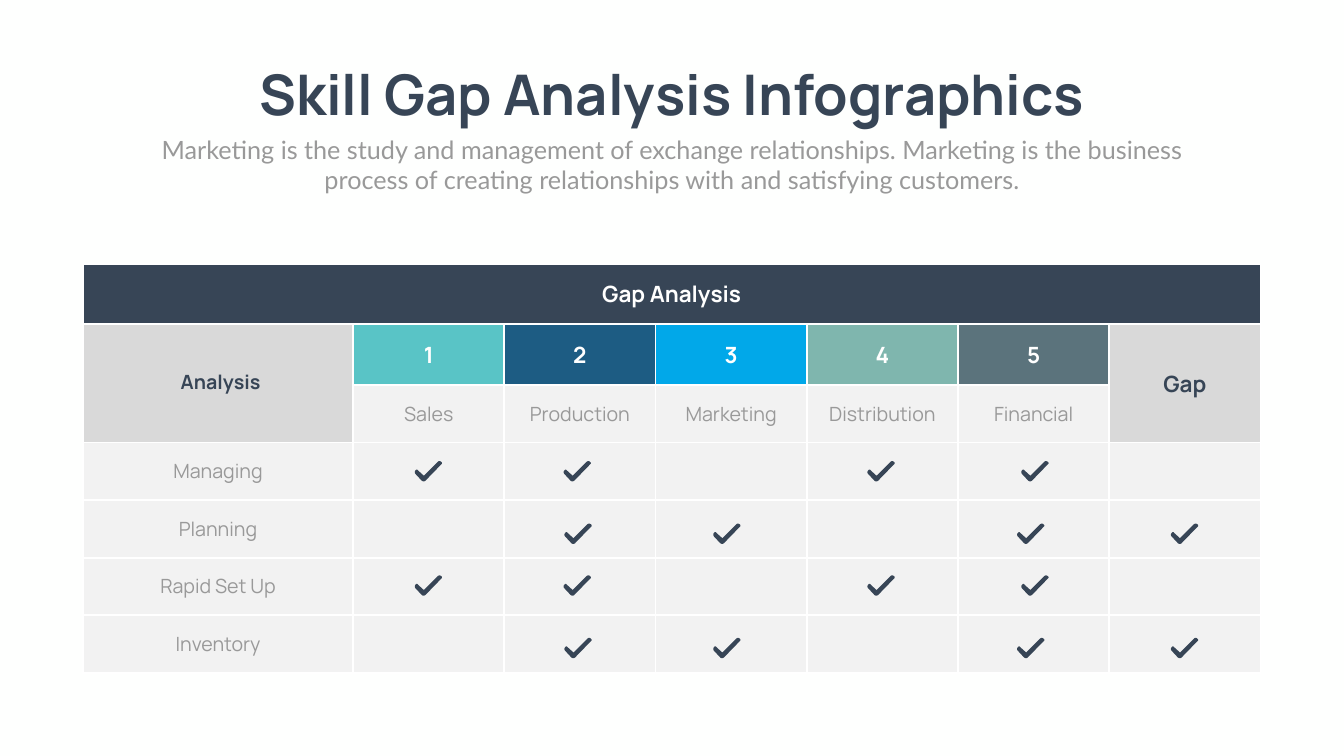
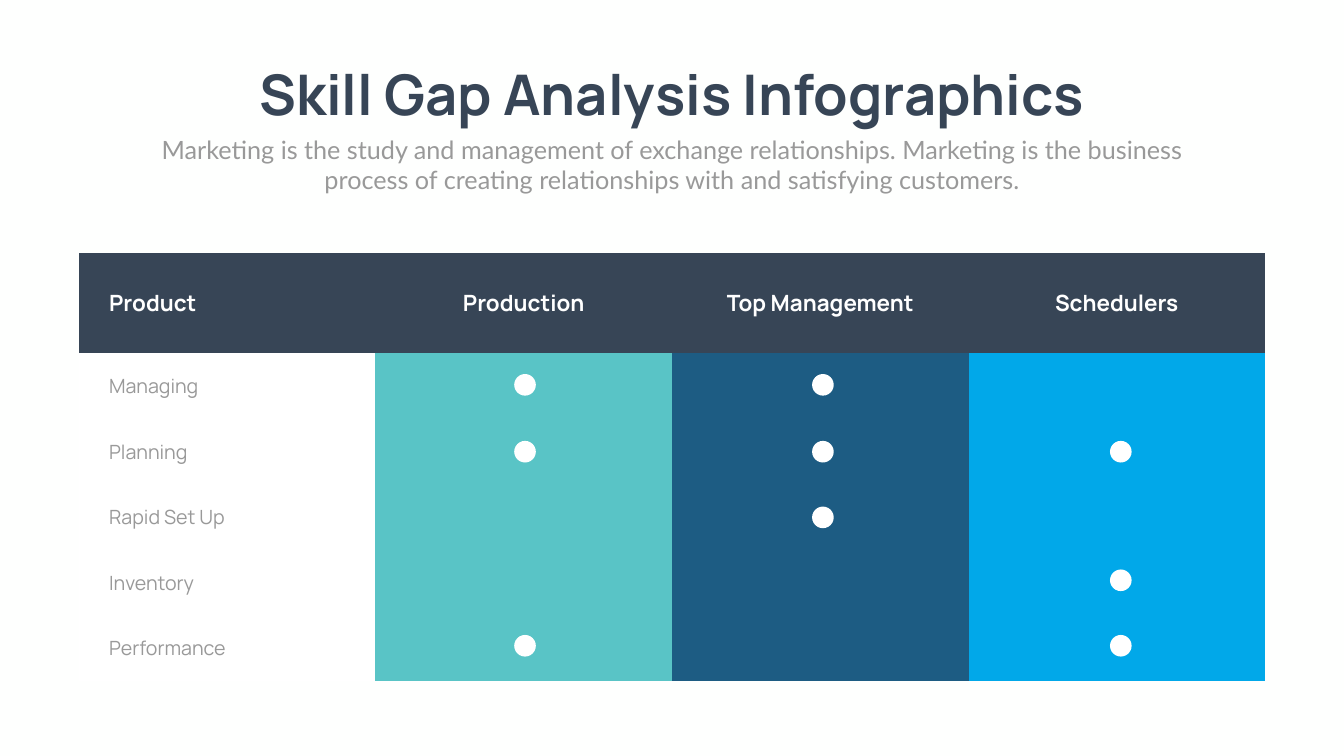
import pptx
import pptx.dml.color
import pptx.enum.shapes
import pptx.enum.text
import pptx.oxml
import pptx.oxml.ns
import pptx.util
from lxml import etree

Cm = pptx.util.Cm
Pt = pptx.util.Pt
RGB = pptx.dml.color.RGBColor.from_string
qn = pptx.oxml.ns.qn
PP_ALIGN = pptx.enum.text.PP_ALIGN
MIDDLE = pptx.enum.text.MSO_ANCHOR.MIDDLE

COLORS = {
    "background": "FEFFFE",
    "white": "FFFFFF",
    "navy": "374556",
    "grey": "999999",
    "head": "D9D9D9",
    "cell": "F2F2F2",
    "teal": "59C4C6",
    "blue": "1D5C83",
    "sky": "01A8E9",
    "sage": "7FB6AE",
    "slate": "5B737C",
}
NO_STYLE_NO_GRID = "{2D5ABB26-0587-4C30-8999-92F81FD0307C}"
TITLE = "Skill Gap Analysis Infographics"
SUBTITLE = ("Marketing is the study and management of exchange relationships. "
            "Marketing is the business process of creating relationships with "
            "and satisfying customers.")


def write(tf, text, size, color, bold=False, font="Manrope", align=PP_ALIGN.CENTER):
    p = tf.paragraphs[0]
    p.text = text
    p.alignment = align
    p.font.size = Pt(size)
    p.font.name = font
    p.font.bold = bold
    p.font.color.rgb = RGB(COLORS[color])


def add_plain_table(slide, left, top, widths, heights):
    """Add a table without style, with column widths and row heights in cm."""
    table = slide.shapes.add_table(len(heights), len(widths), Cm(left), Cm(top),
                                   Cm(sum(widths)), Cm(sum(heights))).table
    table.first_row = table.horz_banding = False
    table._tbl.tblPr.find(qn("a:tableStyleId")).text = NO_STYLE_NO_GRID
    for column, width in zip(table.columns, widths):
        column.width = Cm(width)
    for row, height in zip(table.rows, heights):
        row.height = Cm(height)
    return table


prs = pptx.Presentation()
prs.slide_width = Cm(67.72)
prs.slide_height = Cm(38.1)

# Background, title and subtitle shared by both slides
for _ in range(2):
    s = prs.slides.add_slide(prs.slide_layouts[6])
    s.background.fill.solid()
    s.background.fill.fore_color.rgb = RGB(COLORS["background"])
    for text, box, wrap, style in (
        (TITLE, (11, 2.9, 45.74, 3.68), False, (80, "navy", True)),
        (SUBTITLE, (7.42, 6.63, 52.88, 3.33), True, (36, "grey", False, "Lato")),
    ):
        tf = s.shapes.add_textbox(*map(Cm, box)).text_frame
        tf.word_wrap = wrap
        tf.auto_size = pptx.enum.text.MSO_AUTO_SIZE.SHAPE_TO_FIT_TEXT
        write(tf, text, *style)
check_slide, dot_slide = prs.slides

# Slide 1: gap table with check marks
departments = ["Sales", "Production", "Marketing", "Distribution", "Financial"]
department_fills = ["teal", "blue", "sky", "sage", "slate"]
skills = ["Managing", "Planning", "Rapid Set Up", "Inventory"]

table = add_plain_table(check_slide, 4.18, 13.3, [13.61] + [7.62] * 6,
                        [3.05] * 2 + [2.9] * 5)
texts = [["Gap Analysis"],
         ["Analysis", "1", "2", "3", "4", "5", "Gap"],
         [""] + departments] + [[skill] for skill in skills]
fills = [["navy"] * 7, ["head"] + department_fills + ["head"]] + [["cell"] * 7] * 5

for r, row_fills in enumerate(fills):
    for c, fill in enumerate(row_fills):
        cell = table.cell(r, c)
        tcPr = cell._tc.get_or_add_tcPr()
        for side in "LRTB":
            ln = etree.SubElement(tcPr, qn(f"a:ln{side}"), w=str(Pt(3)))
            solid = etree.SubElement(ln, qn("a:solidFill"))
            etree.SubElement(solid, qn("a:srgbClr"), val=COLORS["white"])
        cell.fill.solid()
        cell.fill.fore_color.rgb = RGB(COLORS[fill])
        cell.vertical_anchor = MIDDLE
        if c < len(texts[r]) and texts[r][c]:
            header = r < 2
            size = 32 if header and texts[r][c] != "Analysis" else 28
            color = "navy" if fill == "head" else "white" if header else "grey"
            write(cell.text_frame, texts[r][c], size, color, header)
            if header:
                cell.margin_left = cell.margin_right = Cm(0.36)
                cell.margin_top = cell.margin_bottom = Cm(0.18)

analysis = table.cell(1, 0)
analysis.margin_left, analysis.margin_right = Cm(1.02), Cm(0.76)
analysis.margin_top = 0
table.cell(0, 0).merge(table.cell(0, 6))
analysis.merge(table.cell(2, 0))
table.cell(1, 6).merge(table.cell(2, 6))

# Check outline in hundredths of an inch
check_points = [(46, 1), (18, 29), (7, 19), (5, 17), (3, 17), (1, 19), (0, 21),
                (0, 23), (1, 25), (14, 39), (16, 40), (19, 40), (21, 39), (52, 7),
                (54, 5), (54, 3), (52, 1), (50, 0), (48, 0)]
check_lefts = [20.9, 28.4, 43.71, 51.46]
for row in range(4):
    pair, shifted = divmod(row, 2)
    for left in check_lefts:
        builder = check_slide.shapes.build_freeform(*check_points[0], scale=Cm(0.0254))
        builder.add_line_segments(check_points[1:], close=True)
        check = builder.convert_to_shape(Cm(left + 7.54 * shifted),
                                         Cm(23.24 + 5.76 * pair + 3.15 * shifted))
        check.shadow.inherit = False
        check.fill.solid()
        check.fill.fore_color.rgb = RGB(COLORS["navy"])
        check.line.fill.background()

# Slide 2: product table with dots
headers = ["Product", "Production", "Top Management", "Schedulers"]
column_fills = ["white", "teal", "blue", "sky"]
table = add_plain_table(dot_slide, 3.98, 12.73, [14.94] * 4, [5.08] + [3.3] * 5)
texts = [headers] + [[skill] for skill in skills + ["Performance"]]
for r, row_texts in enumerate(texts):
    for c, fill in enumerate(column_fills):
        cell = table.cell(r, c)
        cell.fill.solid()
        cell.fill.fore_color.rgb = RGB(COLORS[fill if r else "navy"])
        cell.vertical_anchor = MIDDLE
        if c == 0:
            cell.margin_left = Cm(1.52)
        if c < len(row_texts):
            style = (28, "grey", False) if r else (32, "white", True)
            write(cell.text_frame, row_texts[c], *style,
                  align=PP_ALIGN.CENTER if c else PP_ALIGN.LEFT)

dot_tops = [18.85, 22.22, 25.53, 28.7, 32]
dot_rows = [(0, 1, 4), (0, 1, 2), (1, 3, 4)]
for column, rows in enumerate(dot_rows):
    for row in rows:
        dot = dot_slide.shapes.add_shape(
            pptx.enum.shapes.MSO_SHAPE.OVAL, Cm(25.91 + 15.01 * column),
            Cm(dot_tops[row]), Cm(1.09), Cm(1.09))
        dot.shadow.inherit = False
        dot.fill.solid()
        dot.fill.fore_color.rgb = RGB(COLORS["white"])
        dot.line.fill.background()

prs.save("out.pptx")
